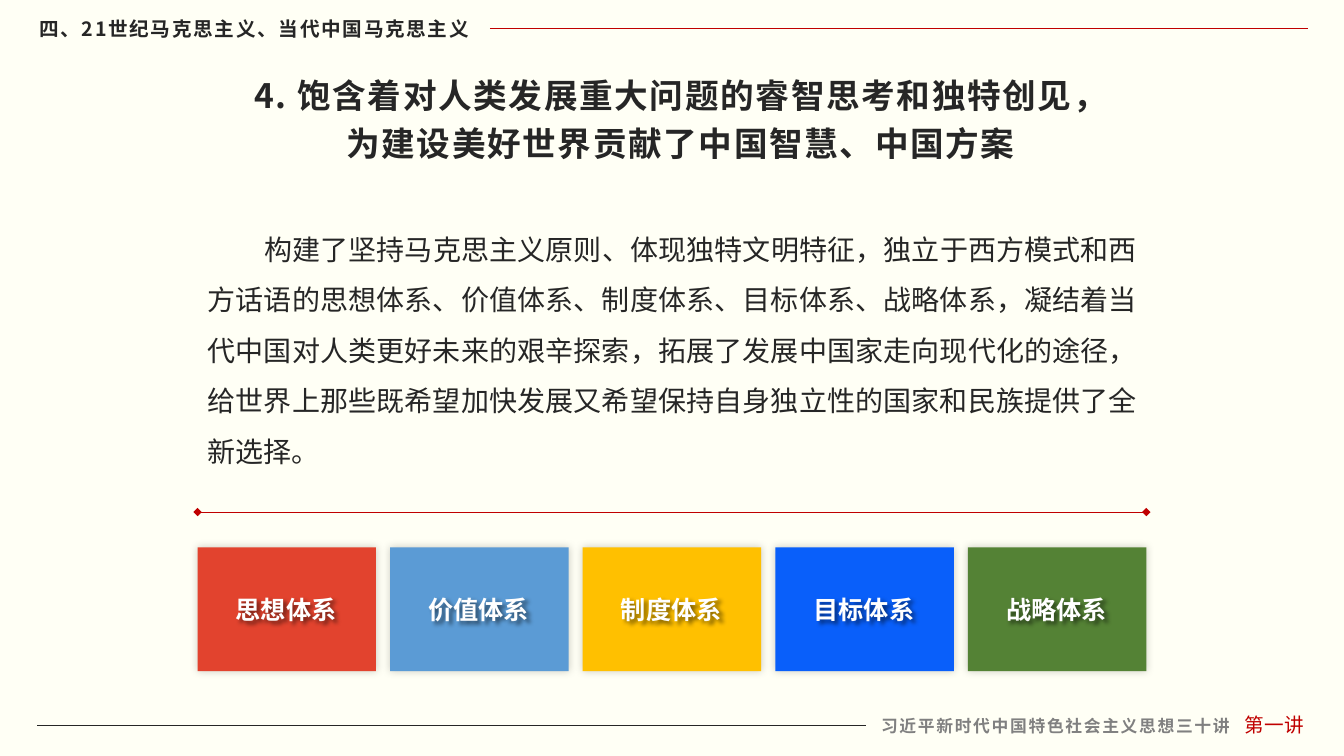
from lxml import etree
from pptx import Presentation
from pptx import util as u
from pptx.dml.color import RGBColor
from pptx.enum import shapes, text
from pptx.oxml import ns

FONT = "Noto Sans CJK SC"
COLORS = {
    "paper": "FFFFF5", "ink": "262626", "accent": "C00000", "muted": "808080",
    "white": "FFFFFF", "black": "000000", "red": "E2432E", "sky": "5B9BD5",
    "gold": "FFC000", "blue": "095FFA", "green": "548235",
}
SECTION = "四、21世纪马克思主义、当代中国马克思主义"
HEADING = ["4. 饱含着对人类发展重大问题的睿智思考和独特创见，",
           "为建设美好世界贡献了中国智慧、中国方案"]
BODY = ["构建了坚持马克思主义原则、体现独特文明特征，独立于西方模式和西方话语的思想体系、"
        "价值体系、制度体系、目标体系、战略体系，凝结着当代中国对人类更好未来的艰辛探索，"
        "拓展了发展中国家走向现代化的途径，给世界上那些既希望加快发展又希望保持自身独立性的"
        "国家和民族提供了全新选择。"]
FOOTER = "习近平新时代中国特色社会主义思想三十讲"
LECTURE = "第一讲"
SYSTEMS = [("思想体系", "red"), ("价值体系", "sky"), ("制度体系", "gold"),
           ("目标体系", "blue"), ("战略体系", "green")]
LEFT, CARD_TOP, CARD_WIDTH, CARD_HEIGHT, PITCH = 1.96, 5.43, 1.77, 1.23, 1.91
LABEL_WIDTH, LABEL_HEIGHT = 1.21, 0.4


def rgb(name):
    return RGBColor.from_string(COLORS[name])


def place(shape, left, top, width, height):
    shape.left, shape.top = u.Inches(left), u.Inches(top)
    shape.width, shape.height = u.Inches(width), u.Inches(height)


def write(box, lines, size, color="ink", bold=False, spacing=0, align="LEFT",
          leading=1.0, indent=0, wrap=True, anchor="TOP"):
    frame = box.text_frame
    frame.word_wrap = wrap
    frame.auto_size = text.MSO_AUTO_SIZE.SHAPE_TO_FIT_TEXT
    frame.vertical_anchor = getattr(text.MSO_ANCHOR, anchor)
    for number, line in enumerate(lines):
        para = frame.paragraphs[0] if number == 0 else frame.add_paragraph()
        para.alignment = getattr(text.PP_ALIGN, align)
        para.line_spacing = leading
        para.space_before = para.space_after = u.Pt(0)
        props = para._p.get_or_add_pPr()
        props.set("marL", "0")
        props.set("indent", str(u.Inches(indent)))
        etree.SubElement(props, ns.qn("a:buNone"))
        span = para.add_run()
        span.text = line
        span.font.size, span.font.bold = u.Pt(size), bold
        span.font.color.rgb = rgb(color)
        span.font.name = FONT
        run_props = span._r.get_or_add_rPr()
        run_props.set("spc", str(round(spacing * 100)))
        run_props.set("lang", "zh-CN")
        etree.SubElement(run_props, ns.qn("a:ea")).set("typeface", FONT)


def add_text(page, area, lines, size, **style):
    box = page.shapes.add_textbox(*map(u.Inches, area))
    write(box, lines, size, **style)
    return box


def add_shadow(shape, blur, distance, angle, opacity):
    effects = etree.SubElement(shape._element.spPr, ns.qn("a:effectLst"))
    shadow = etree.SubElement(effects, ns.qn("a:outerShdw"), {
        "blurRad": str(u.Pt(blur)), "dist": str(u.Pt(distance)),
        "dir": str(angle * 60000), "algn": "ctr", "rotWithShape": "0"})
    color = etree.SubElement(shadow, ns.qn("a:srgbClr"), val=COLORS["black"])
    etree.SubElement(color, ns.qn("a:alpha"), val=str(opacity * 1000))


def add_rule(page, start, end, y, color, weight, ends=None):
    rule = page.shapes.add_connector(
        shapes.MSO_CONNECTOR.STRAIGHT, *map(u.Inches, (start, y, end, y)))
    rule.line.color.rgb = rgb(color)
    rule.line.width = u.Pt(weight)
    if ends:
        for tag in ("a:headEnd", "a:tailEnd"):
            etree.SubElement(rule.line._get_or_add_ln(), ns.qn(tag), type=ends)
    etree.SubElement(rule._element.spPr, ns.qn("a:effectLst"))


def add_card(page, index, label, color):
    left = LEFT + index * PITCH
    card = page.shapes.add_shape(
        shapes.MSO_SHAPE.RECTANGLE,
        *map(u.Inches, (left, CARD_TOP, CARD_WIDTH, CARD_HEIGHT)))
    card.fill.solid()
    card.fill.fore_color.rgb = rgb(color)
    card.line.fill.background()
    add_shadow(card, 6, 0, 225, 20)
    area = (left + (CARD_WIDTH - LABEL_WIDTH) / 2,
            CARD_TOP + (CARD_HEIGHT - LABEL_HEIGHT) / 2, LABEL_WIDTH, LABEL_HEIGHT)
    box = add_text(page, area, [label], 18, color="white", bold=True, wrap=False)
    add_shadow(box, 3, 3, 45, 50)


def main():
    deck = Presentation()
    deck.slide_width, deck.slide_height = u.Inches(13.33), u.Inches(7.5)
    page = deck.slides.add_slide(deck.slide_layouts[1])
    page.background.fill.solid()
    page.background.fill.fore_color.rgb = rgb("paper")

    add_text(page, (8.64, 7.05, 3.71, 0.3), [FOOTER], 12, color="muted",
             bold=True, spacing=1.2, wrap=False)
    add_text(page, (12.09, 7.02, 1.1, 0.34), [LECTURE], 14, color="accent",
             align="CENTER", anchor="MIDDLE")
    add_text(page, (0.29, 0.11, 4.58, 0.34), [SECTION], 14, bold=True,
             spacing=1.2, wrap=False, anchor="MIDDLE")
    add_rule(page, 4.86, 12.97, 0.28, "accent", 0.25)
    add_rule(page, 0.37, 8.59, 7.2, "ink", 0.5)

    title, body = page.placeholders
    place(title, 2.4, 0.61, 8.7, 1.07)
    write(title, HEADING, 24, bold=True, spacing=1.2, align="CENTER", leading=1.2)
    place(body, LEFT, 2.09, 9.42, 2.62)
    write(body, BODY, 20, align="JUSTIFY", leading=1.5, indent=0.56)

    add_rule(page, LEFT, LEFT + 4 * PITCH + CARD_WIDTH, 5.08, "accent", 0.5,
             ends="diamond")
    for index, (label, color) in enumerate(SYSTEMS):
        add_card(page, index, label, color)
    deck.save("out.pptx")


if __name__ == "__main__":
    main()
